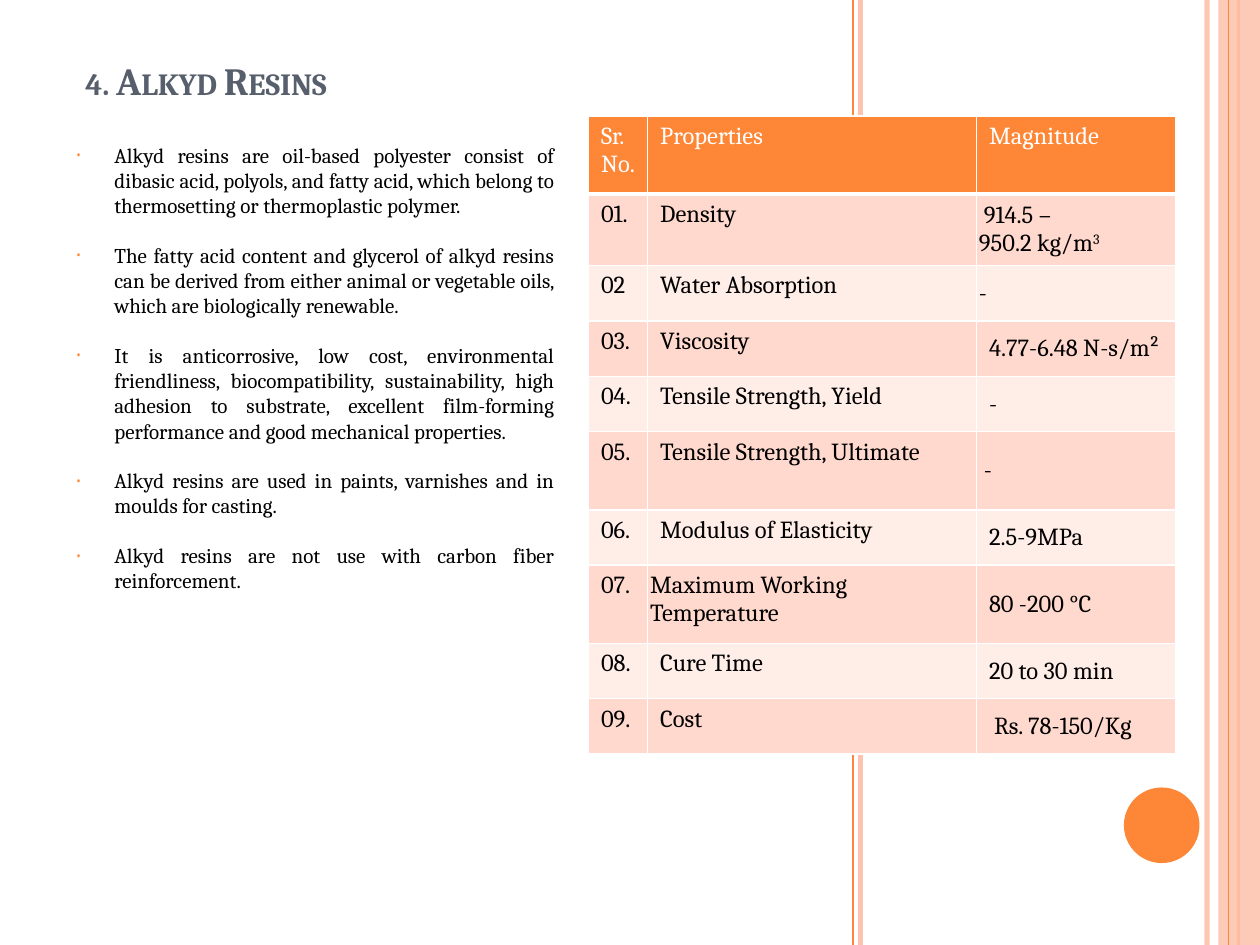
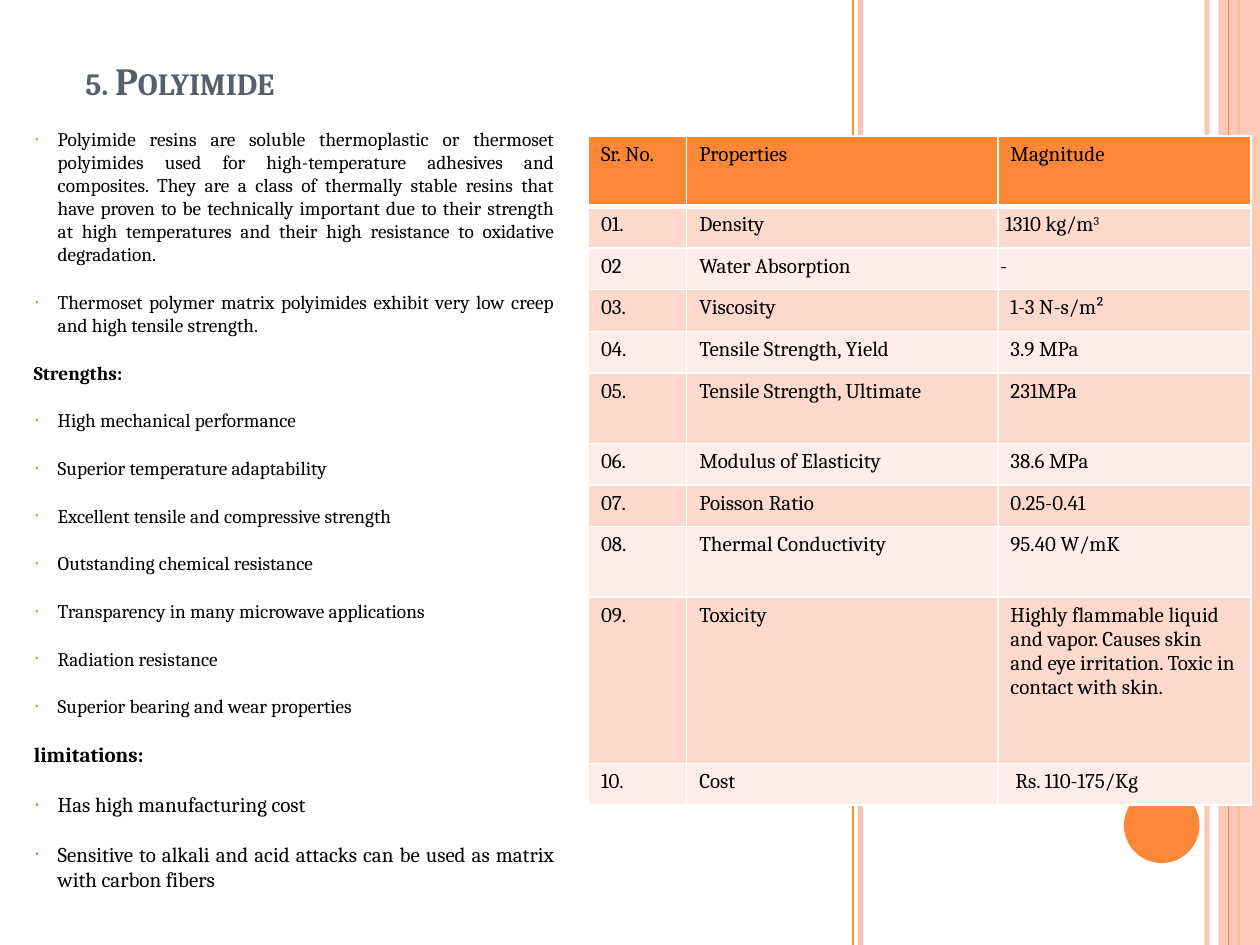
"""Build two resin slides, each with a bulleted description and a property table."""
import pptx
import pptx.util
import pptx.dml.color
import pptx.enum.shapes
import pptx.enum.text
import pptx.oxml.ns
import lxml.etree

Inches, Pt = pptx.util.Inches, pptx.util.Pt
ANCHOR = pptx.enum.text.MSO_ANCHOR
COLORS = {"orange": "FE8637", "peach": "FEC3AE", "title": "575F6D", "text": "000000",
          "white": "FFFFFF", "dark_row": "FFD9CE", "light_row": "FFEDE8"}
FONT = "Cambria"
RULES = [(9.58, "peach", 3, 93), (6.83, "peach", 3, 100), (6.77, "orange", 1, 100),
         (9.83, "orange", 1.5, 100), (9.75, "orange", 0.75, 100)]

SLIDES = [
    {
        "title": "4. Alkyd Resins",
        "table_at": (4.67, 0.92),
        "cols": [0.47, 2.61, 1.58],
        "heights": [0.62, 0.44, 0.44, 0.44, 0.44, 0.62, 0.44, 0.62, 0.44, 0.44],
        "size": 14, "header_color": "white", "value_anchor": ANCHOR.MIDDLE,
        "rows": [
            ("Sr. No.", "Properties", "Magnitude"),
            ("01.", "Density", "914.5 –\n950.2 kg/m^3"),
            ("02", "Water Absorption", "-"),
            ("03.", "Viscosity", "4.77-6.48 N-s/m²"),
            ("04.", "Tensile Strength, Yield", "-"),
            ("05.", "Tensile Strength, Ultimate", "-"),
            ("06.", "Modulus of Elasticity", "2.5-9MPa"),
            ("07.", "Maximum Working Temperature", "80 -200 °C"),
            ("08.", "Cure Time", "20 to 30 min"),
            ("09.", "Cost", "Rs. 78-150/Kg"),
        ],
        "insets": {(1, 2): 0.02, (2, 2): 0.02, (5, 2): 0.06, (7, 1): 0.02, (9, 2): 0.14},
        "first_indents": {(1, 2): 0.04},
        "body_at": (0.5, 1.08, 4, 5.76), "indent": 0.31,
        "body": [
            ("bullet", 12, "Alkyd resins are oil-based polyester consist of dibasic acid, polyols, and "
             "fatty acid, which belong to thermosetting or thermoplastic polymer."),
            ("bullet", 12, "The fatty acid content and glycerol of alkyd resins can be derived from "
             "either animal or vegetable oils, which are biologically renewable."),
            ("bullet", 12, "It is anticorrosive, low cost, environmental friendliness, "
             "biocompatibility, sustainability, high adhesion to substrate, excellent "
             "film-forming performance and good mechanical properties."),
            ("bullet", 12, "Alkyd resins are used in paints, varnishes and in moulds for casting."),
            ("bullet", 12, "Alkyd resins are not use with carbon fiber reinforcement."),
        ],
    },
    {
        "title": "5. Polyimide",
        "table_at": (4.67, 1.08),
        "cols": [0.78, 2.47, 2.01],
        "heights": [0.56, 0.33, 0.33, 0.33, 0.33, 0.56, 0.33, 0.33, 0.56, 1.32, 0.33],
        "size": 12, "header_color": "text", "value_anchor": ANCHOR.TOP,
        "rows": [
            ("Sr. No.", "Properties", "Magnitude"),
            ("01.", "Density", "1310 kg/m^3"),
            ("02", "Water Absorption", "-"),
            ("03.", "Viscosity", "1-3 N-s/m²"),
            ("04.", "Tensile Strength, Yield", "3.9 MPa"),
            ("05.", "Tensile Strength, Ultimate", "231MPa"),
            ("06.", "Modulus of Elasticity", "38.6 MPa"),
            ("07.", "Poisson Ratio", "0.25-0.41"),
            ("08.", "Thermal Conductivity", "95.40 W/mK"),
            ("09.", "Toxicity", "Highly flammable liquid and vapor. Causes skin and eye irritation. "
             "Toxic in contact with skin."),
            ("10.", "Cost", "Rs. 110-175/Kg"),
        ],
        "insets": {(1, 2): 0.06, (2, 2): 0.02, (10, 2): 0.14},
        "first_indents": {},
        "body_at": (0.17, 0.96, 4.33, 6.5), "indent": 0.19,
        "body": [
            ("bullet", 11, "Polyimide resins are soluble thermoplastic or thermoset polyimides used "
             "for high-temperature adhesives and composites. They are a class of thermally stable "
             "resins that have proven to be technically important due to their strength at high "
             "temperatures and their high resistance to oxidative degradation."),
            ("bullet", 11, "Thermoset polymer matrix polyimides exhibit very low creep and high "
             "tensile strength."),
            ("heading", 11, "Strengths:"),
            ("bullet", 11, "High mechanical performance"),
            ("bullet", 11, "Superior temperature adaptability"),
            ("bullet", 11, "Excellent tensile and compressive strength"),
            ("bullet", 11, "Outstanding chemical resistance"),
            ("bullet", 11, "Transparency in many microwave applications"),
            ("bullet", 11, "Radiation resistance"),
            ("bullet", 11, "Superior bearing and wear properties"),
            ("heading", 12, "limitations:"),
            ("bullet", 12, "Has high manufacturing cost"),
            ("bullet", 12, "Sensitive to alkali and acid attacks can be used as matrix with carbon "
             "fibers"),
        ],
    },
]


def add_element(parent, tag, **attributes):
    element = lxml.etree.SubElement(parent, pptx.oxml.ns.qn(tag))
    for name, value in attributes.items():
        element.set(name, str(value))
    return element


def add_run(p, text, size, color, bold=False):
    r = p.add_run()
    r.text = text
    r.font.name, r.font.size, r.font.bold = FONT, Pt(size), bold
    r.font.color.rgb = pptx.dml.color.RGBColor.from_string(COLORS[color])
    return r


prs = pptx.Presentation()
prs.slide_width, prs.slide_height = Inches(10), Inches(7.5)

for data in SLIDES:
    s = prs.slides.add_slide(prs.slide_layouts[6])

    for x, color, width, opacity in RULES:
        line = s.shapes.add_connector(pptx.enum.shapes.MSO_CONNECTOR.STRAIGHT,
                                      Inches(x), 0, Inches(x), Inches(7.5))
        line.line.width = Pt(width)
        line.line.color.rgb = pptx.dml.color.RGBColor.from_string(COLORS[color])
        if opacity < 100:
            rgb = line.line._ln.find(".//" + pptx.oxml.ns.qn("a:srgbClr"))
            add_element(rgb, "a:alpha", val=opacity * 1000)
        add_element(line._element.spPr, "a:effectLst")
        if x == 9.83:
            band = s.shapes.add_shape(pptx.enum.shapes.MSO_SHAPE.RECTANGLE,
                                      Inches(9.67), 0, Inches(0.33), Inches(7.5))
    circle = s.shapes.add_shape(pptx.enum.shapes.MSO_SHAPE.OVAL,
                                Inches(8.92), Inches(6.25), Inches(0.6), Inches(0.6))
    for sp, color in ((band, "peach"), (circle, "orange")):
        sp.shadow.inherit = False
        sp.fill.solid()
        sp.fill.fore_color.rgb = pptx.dml.color.RGBColor.from_string(COLORS[color])
        sp.line.fill.background()
    rgb = band._element.spPr.find(".//" + pptx.oxml.ns.qn("a:srgbClr"))
    add_element(rgb, "a:alpha", val=87000)

    title = s.shapes.add_textbox(Inches(0.58), Inches(0.17), Inches(3.29), Inches(0.7))
    tf = title.text_frame
    tf.word_wrap, tf.vertical_anchor = True, ANCHOR.BOTTOM
    r = add_run(tf.paragraphs[0], data["title"], 22, "title", True)
    r._r.get_or_add_rPr().set("cap", "small")

    left, top = data["table_at"]
    frame = s.shapes.add_table(len(data["rows"]), 3, Inches(left), Inches(top),
                               Inches(sum(data["cols"])), Inches(sum(data["heights"])))
    table = frame.table
    for column, width in zip(table.columns, data["cols"]):
        column.width = Inches(width)
    for i, (row, height) in enumerate(zip(data["rows"], data["heights"])):
        table.rows[i].height = Inches(height)
        fill = "orange" if i == 0 else "dark_row" if i % 2 else "light_row"
        for j, text in enumerate(row):
            cell = table.cell(i, j)
            tcPr = cell._tc.get_or_add_tcPr()
            for side in "LRTB":
                thick = (i, side) in ((0, "B"), (1, "T"))
                ln = add_element(tcPr, "a:ln" + side, w=Pt(3 if thick else 1))
                add_element(add_element(ln, "a:solidFill"), "a:srgbClr", val=COLORS["white"])
            cell.fill.solid()
            cell.fill.fore_color.rgb = pptx.dml.color.RGBColor.from_string(COLORS[fill])
            inset = data["insets"].get((i, j), 0.1)
            cell.margin_left, cell.margin_right = Inches(inset), Inches(min(inset, 0.1))
            cell.vertical_anchor = data["value_anchor"] if i and j == 2 else ANCHOR.TOP
            p = cell.text_frame.paragraphs[0]
            if (i, j) in data["first_indents"]:
                p._p.get_or_add_pPr().set("indent", str(Inches(data["first_indents"][i, j])))
            color = "text" if i else data["header_color"]
            base, _, power = text.partition("^")
            for k, part in enumerate(base.split("\n")):
                if k:
                    p.add_line_break()
                add_run(p, part, data["size"], color)
            if power:
                r = add_run(p, power, data["size"], color)
                r._r.get_or_add_rPr().set("baseline", "30000")

    body = s.shapes.add_textbox(*(Inches(v) for v in data["body_at"]))
    tf = body.text_frame
    tf.word_wrap = True
    for i, (kind, size, text) in enumerate(data["body"]):
        p = tf.add_paragraph() if i else tf.paragraphs[0]
        if kind == "bullet":
            pPr = p._p.get_or_add_pPr()
            pPr.set("marL", str(Inches(data["indent"])))
            pPr.set("indent", str(-Inches(data["indent"])))
            add_element(add_element(pPr, "a:buClr"), "a:srgbClr", val=COLORS["orange"])
            add_element(pPr, "a:buSzPct", val=70000)
            add_element(pPr, "a:buFont", typeface=FONT)
            add_element(pPr, "a:buChar", char="•")
        p.alignment = pptx.enum.text.PP_ALIGN.JUSTIFY
        p.space_before, p.space_after = Pt(4 if i else 0), Pt(10)
        add_run(p, text, size, "text", kind == "heading")

prs.save("out.pptx")
